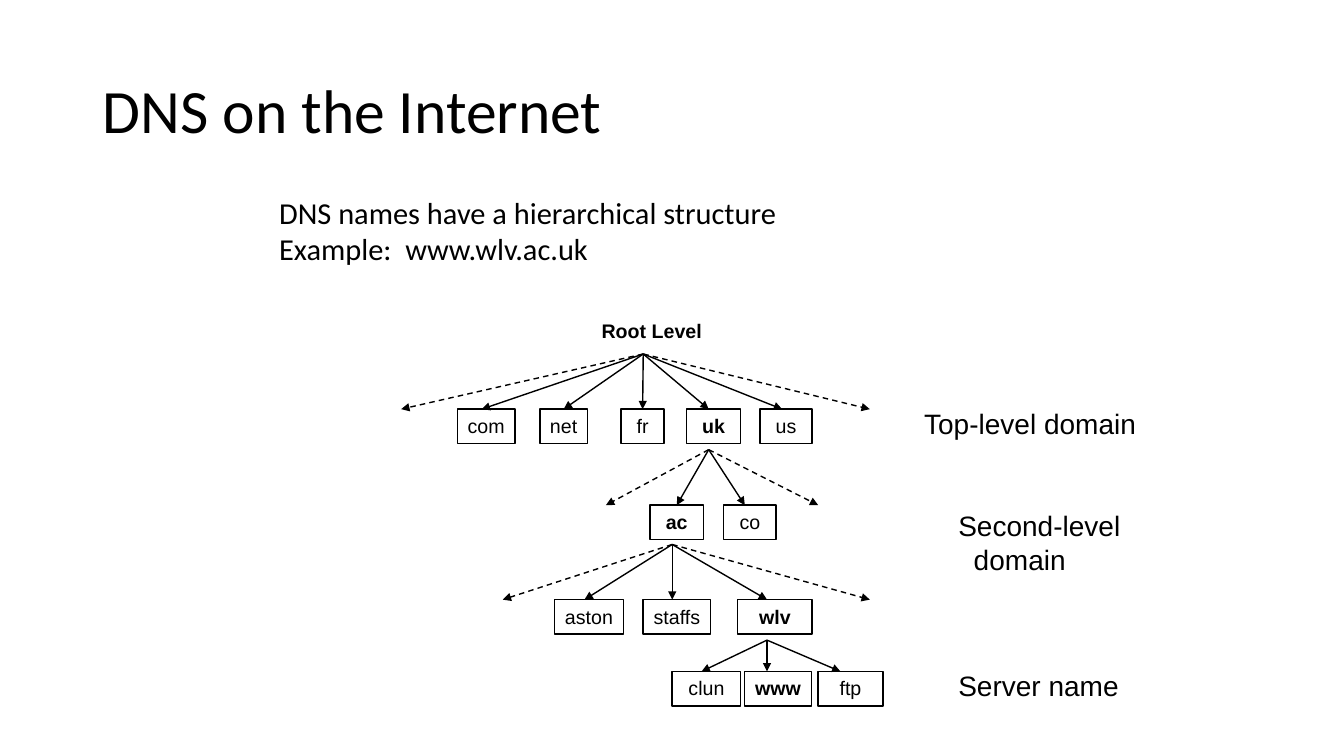
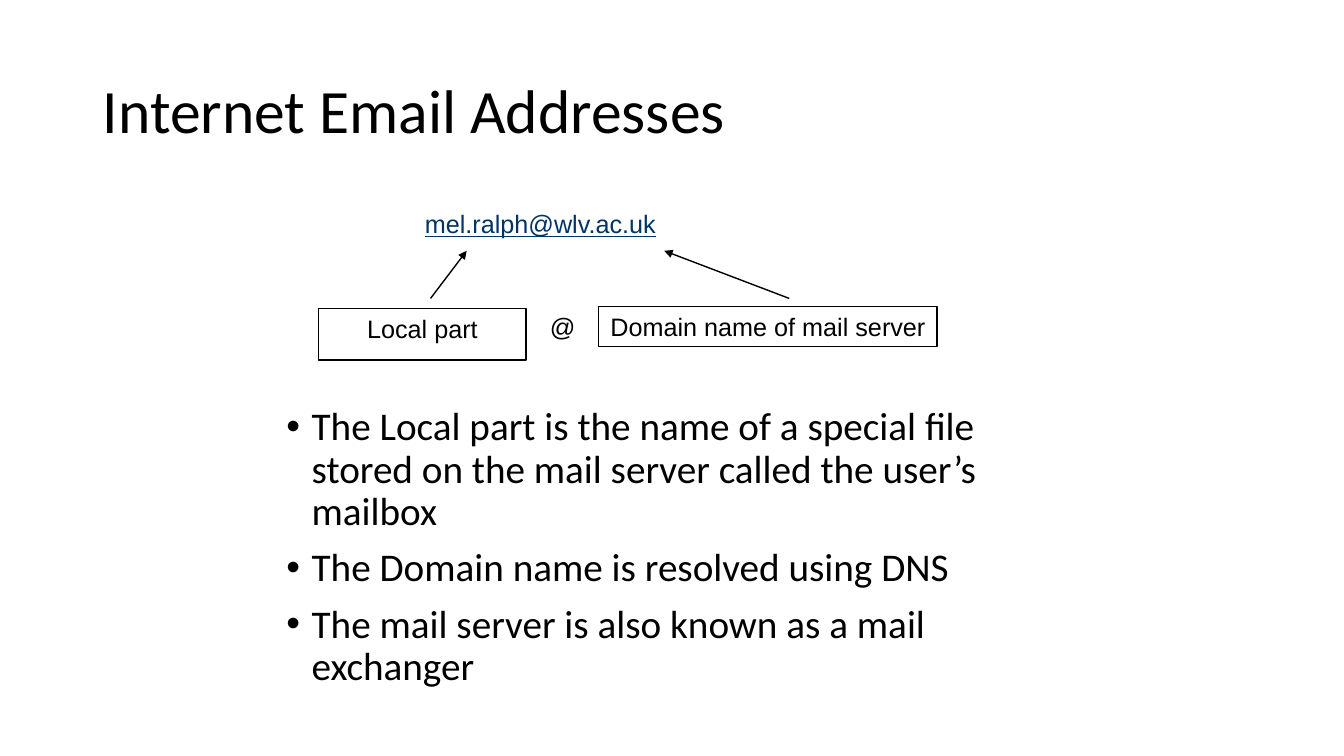
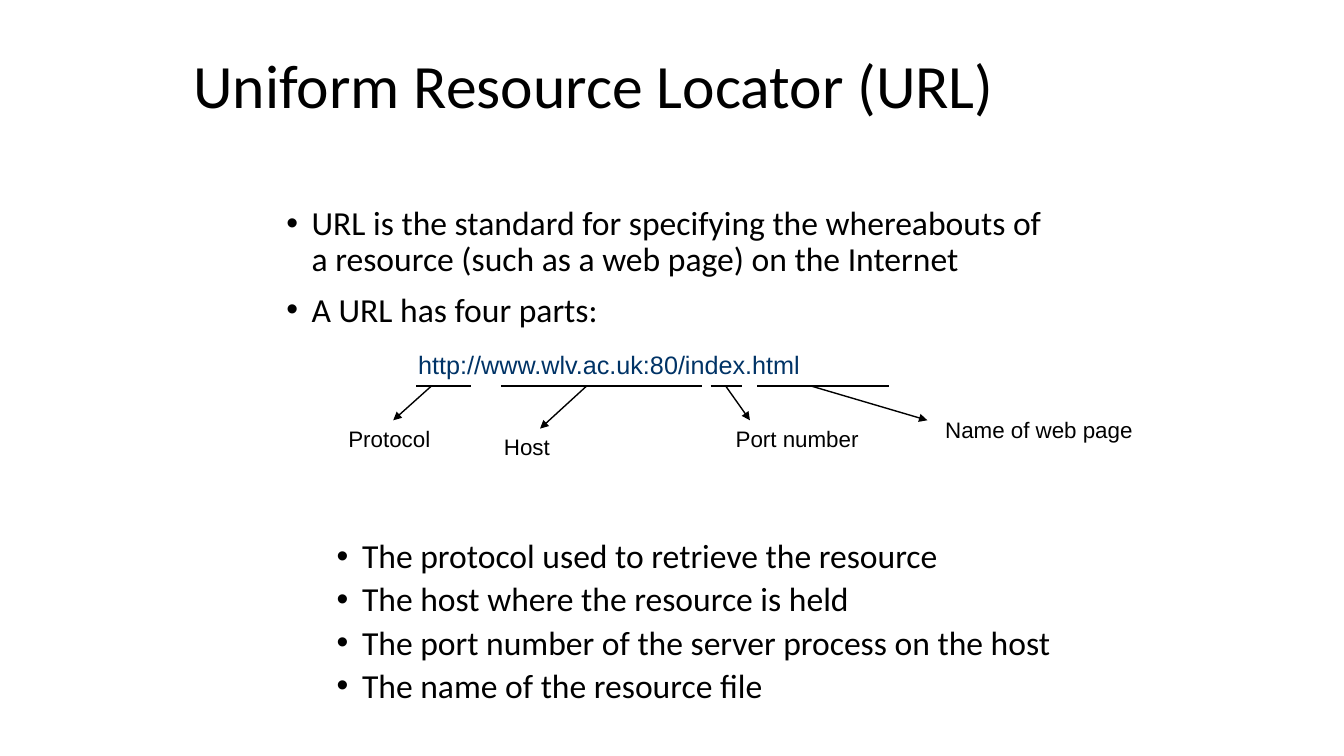
import pptx
import pptx.util
import pptx.dml.color
import pptx.enum.dml
import pptx.enum.shapes
import pptx.enum.text
import pptx.oxml.ns
from lxml import etree

Cm = pptx.util.Cm
Pt = pptx.util.Pt
qn = pptx.oxml.ns.qn
ALIGN = pptx.enum.text.PP_ALIGN
ANCHOR = pptx.enum.text.MSO_ANCHOR

INK = {"black": "000000", "navy": "003366"}
HEAD, LABEL = "Calibri", "Arial"
TITLE = (2.34, 1.02, 29.21, 3.68)
NODE = 0.87

TREE = [
    ((16.21, 8.92), 10.31, (10.11, 21.92), [
        ("com", 11.53, 1.45, 12.14, False),
        ("net", 13.61, 1.19, None, False),
        ("fr", 15.65, 1.09, None, False),
        ("uk", 17.3, 1.37, 17.86, True),
        ("us", 19.15, 1.32, 19.71, False)]),
    ((17.86, 11.33), 12.73, (15.27, 20.62), [
        ("ac", 16.38, 1.35, None, True),
        ("co", 18.24, 1.32, 18.77, False)]),
    ((16.94, 13.72), 15.11, (12.67, 21.92), [
        ("aston", 13.97, 1.75, 14.73, False),
        ("staffs", 16.21, 1.7, 16.94, False),
        ("wlv", 18.59, 1.88, 19.33, True)]),
    ((19.33, 16.13), 16.92, (), [
        ("clun", 16.94, 1.73, 17.68, False),
        ("www", 18.77, 1.68, 19.33, True),
        ("ftp", 20.62, 1.63, 21.18, False)]),
]

PARTS = [
    ("Protocol", (8.53, 10.59, 2.59), (10.49, 11.86), 10.87, (9.91, 10.59)),
    ("Host", (12.45, 10.8, 1.68), (12.62, 17.7), 14.78, (13.61, 10.8)),
    ("Port number", (18.29, 10.59, 3.66), (17.91, 18.69), 18.29, (18.9, 10.59)),
    ("Name of web page", (23.57, 10.36, 5.28), (19.08, 22.4), 20.45, (23.37, 10.59)),
]


def place(shape, area):
    shape.left, shape.top, shape.width, shape.height = map(Cm, area)


def style(para, face, size, color="black", bold=False):
    font = para.font
    font.name, font.size, font.bold = face, Pt(size), bold
    font.color.rgb = pptx.dml.color.RGBColor.from_string(INK[color])


def add_page(deck, title, area=TITLE):
    slide = deck.slides.add_slide(deck.slide_layouts[1])
    head = slide.shapes.title
    place(head, area)
    frame = head.text_frame
    frame.text = title
    frame.auto_size = pptx.enum.text.MSO_AUTO_SIZE.NONE
    frame.vertical_anchor = ANCHOR.MIDDLE
    para = frame.paragraphs[0]
    para.alignment, para.line_spacing = ALIGN.LEFT, 0.9
    style(para, HEAD, 44)
    return slide


def add_list(slide, area, items, size, pitch=0.9, mark="•"):
    body = slide.placeholders[1]
    place(body, area)
    frame = body.text_frame
    frame.auto_size = pptx.enum.text.MSO_AUTO_SIZE.NONE
    frame.text = "\n".join(text for text, level in items)
    for para, (text, level) in zip(frame.paragraphs, items):
        para.level = level
        props = para._p.get_or_add_pPr()
        props.set("marL", str(Cm(0.64 + 1.27 * level)))
        props.set("indent", str(-Cm(0.64)))
        if mark:
            etree.SubElement(props, qn("a:buChar")).set("char", mark)
        else:
            etree.SubElement(props, qn("a:buNone"))
        para.line_spacing = pitch
        para.space_before = Pt(5 if level else 10)
        para.space_after = Pt(0)
        style(para, HEAD, size)
    return frame.paragraphs


def write(shape, text, size, color="black", bold=False, align=ALIGN.LEFT):
    frame = shape.text_frame
    frame.word_wrap = False
    frame.vertical_anchor = ANCHOR.TOP
    frame.text = text
    for para in frame.paragraphs:
        para.alignment = align
        style(para, LABEL, size, color, bold)
    return frame.paragraphs


def add_label(slide, text, area, size, color="black", bold=False):
    box = slide.shapes.add_textbox(*map(Cm, area))
    return write(box, text, size, color, bold)


def ink_line(line):
    line.color.rgb = pptx.dml.color.RGBColor.from_string(INK["black"])
    line.width = Pt(1)


def add_box(slide, text, area, size, bold=False):
    box = slide.shapes.add_shape(
        pptx.enum.shapes.MSO_SHAPE.RECTANGLE, *map(Cm, area))
    box.shadow.inherit = False
    box.fill.background()
    ink_line(box.line)
    write(box, text, size, bold=bold, align=ALIGN.CENTER)
    return box


def add_line(slide, start, end, arrow=True, dash=False):
    line = slide.shapes.add_connector(
        pptx.enum.shapes.MSO_CONNECTOR.STRAIGHT, *map(Cm, start + end))
    ink_line(line.line)
    if dash:
        line.line.dash_style = pptx.enum.dml.MSO_LINE.DASH
    props = line._element.spPr
    if arrow:
        tip = etree.SubElement(props.find(qn("a:ln")), qn("a:tailEnd"))
        tip.set("type", "triangle")
    etree.SubElement(props, qn("a:effectLst"))
    return line


def add_fan(slide, start, top, loose, nodes):
    for tip in loose:
        add_line(slide, start, (tip, top), dash=True)
    for text, left, width, tip, bold in nodes:
        box = add_box(slide, text, (left, top, width, NODE), 14, bold)
        line = add_line(slide, start, (tip or left + width / 2, top))
        if tip is None:
            line.end_connect(box, 0)


def dns_page(deck):
    slide = add_page(deck, "DNS on the Internet")
    add_list(slide, (6.78, 5.08, 19.94, 1.83), [
        ("DNS names have a hierarchical structure", 0),
        ("Example:  www.wlv.ac.uk", 0)], 21.7, 0.6, None)
    add_label(slide, "Root Level", (14.91, 7.92, 3.05, NODE), 14, bold=True)
    for row in TREE:
        add_fan(slide, *row)
    add_label(slide, "Top-level domain", (23.04, 10.13, 5.89, 1.12), 20)
    second = add_label(
        slide, "Second-level\ndomain", (23.9, 12.7, 4.65, 1.96), 20)
    second[1]._p.get_or_add_pPr().set("marL", str(Cm(0.39)))
    add_label(slide, "Server name", (23.9, 16.71, 4.6, 1.12), 20)


def mail_page(deck):
    slide = add_page(deck, "Internet Email Addresses")
    add_list(slide, (6.96, 10.13, 19.94, 7.59), [
        ("The Local part is the name of a special file stored on the mail "
         "server called the user’s mailbox", 0),
        ("The Domain name is resolved using DNS", 0),
        ("The mail server is also known as a mail exchanger", 0)], 28)
    add_box(slide, "Local part", (8.03, 7.77, 5.23, 1.3), 18)
    add_box(slide, "Domain name of mail server", (15.09, 7.72, 8.53, 1.02), 18)
    add_label(slide, "@", (13.61, 7.72, 1.17, 1.02), 18)
    mail = add_label(
        slide, "mel.ralph@wlv.ac.uk", (10.46, 5.13, 6.38, 1.02), 18, "navy")
    mail[0].font.underline = True
    add_line(slide, (10.85, 7.52), (11.76, 6.32))
    add_line(slide, (19.89, 7.52), (16.74, 6.32))


def url_page(deck):
    slide = add_page(
        deck, "Uniform Resource Locator (URL)", (4.62, 0.64, 24.61, 3.18))
    items = add_list(slide, (6.96, 5.08, 19.94, 13.13), [
        ("URL is the standard for specifying the whereabouts of a resource "
         "(such as a web page) on the Internet", 0),
        ("A URL has four parts:", 0),
        ("The protocol used to retrieve the resource", 1),
        ("The host where the resource is held", 1),
        ("The port number of the server process on the host", 1),
        ("The name of the resource file", 1)], 24)
    items[2].space_before = Pt(150)
    add_label(slide, "http://www.wlv.ac.uk:80/index.html",
              (10.29, 8.69, 10.24, 1.02), 18, "navy")
    base = 9.73
    for text, area, (left, right), stem, tip in PARTS:
        add_label(slide, text, area + (0.94,), 16)
        add_line(slide, (left, base), (right, base), arrow=False)
        add_line(slide, (stem, base), tip)


def main():
    deck = pptx.Presentation()
    deck.slide_width, deck.slide_height = Cm(33.87), Cm(19.05)
    dns_page(deck)
    mail_page(deck)
    url_page(deck)
    deck.save("out.pptx")


if __name__ == "__main__":
    main()
